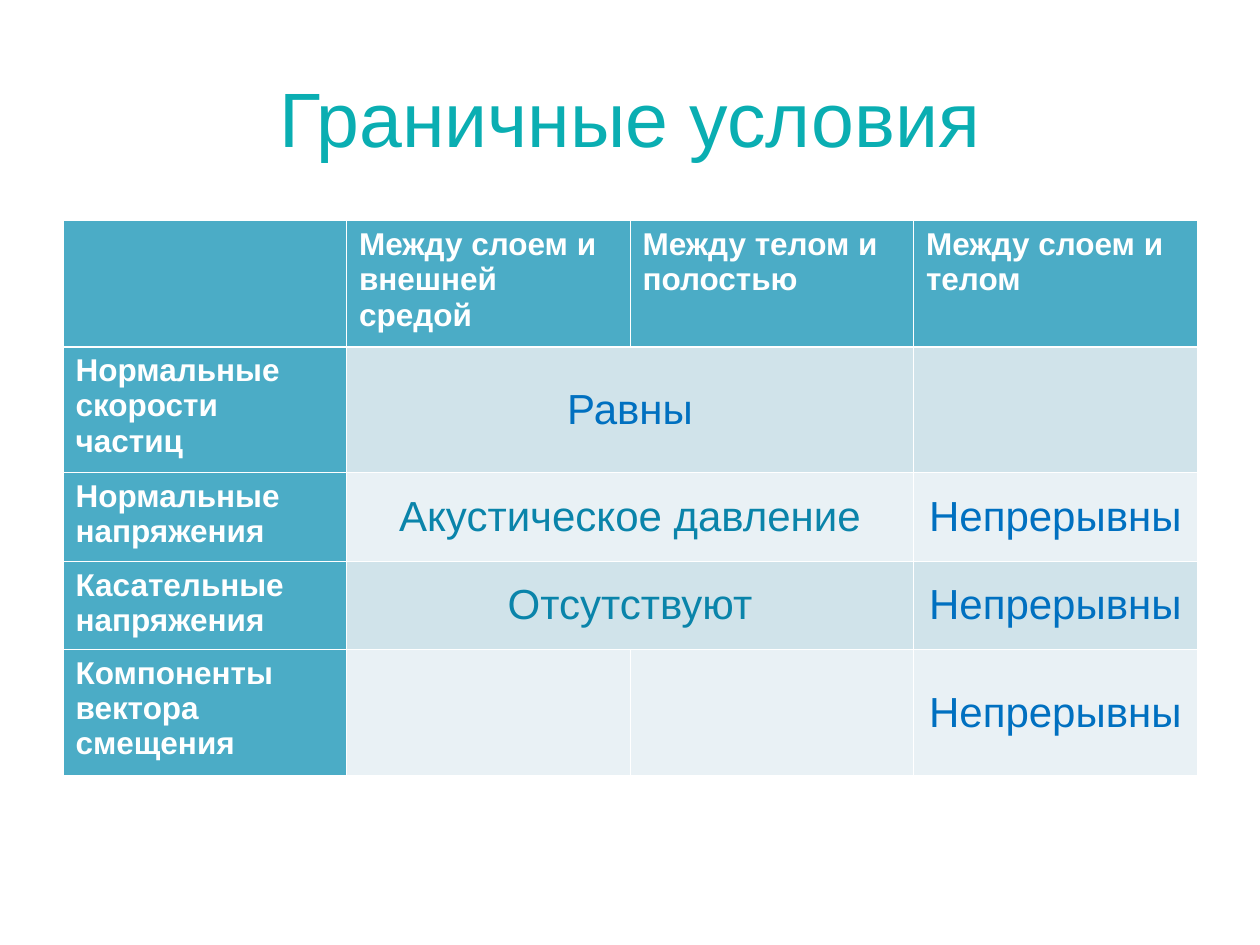
from lxml.etree import SubElement
from pptx import Presentation
from pptx.dml.color import RGBColor
from pptx.enum.text import MSO_ANCHOR, PP_ALIGN
from pptx.oxml.ns import qn
from pptx.util import Cm, Pt

WHITE, HEAD, AQUA, BLUE, TEAL = "FFFFFF", "4BACC6", "0AAEB2", "0070C0", "0A84AA"
BANDS = ("D0E3EA", "E9F1F5")
THIN, THICK = 0.45, 1.47
COL = 5.715
TALL, LOW = 2.54, 1.78
ROWS = (TALL, TALL, LOW, LOW, TALL)
LABEL = {"size": Pt(18), "bold": True, "name": "Arial"}
VALUE = {"size": Pt(24), "bold": False, "name": "Arial"}
TITLE = {"size": Pt(44), "bold": False, "name": "Arial"}
HEADS = ("", "Между слоем и внешней средой", "Между телом и полостью",
         "Между слоем и телом")
SIDES = ("Нормальные скорости частиц", "Нормальные напряжения",
         "Касательные напряжения", "Компоненты вектора смещения")
# Row, column, text, colour, columns spanned
VALUES = (
    (1, 1, "Равны", BLUE, 2),
    (2, 1, "Акустическое давление", TEAL, 2),
    (3, 1, "Отсутствуют", TEAL, 2),
    (2, 3, "Непрерывны", BLUE, 1),
    (3, 3, "Непрерывны", BLUE, 1),
    (4, 3, "Непрерывны", BLUE, 1),
)


def color(code):
    return RGBColor.from_string(code)


def write(frame, text, style, code, center=False):
    para = frame.paragraphs[0]
    para.alignment = PP_ALIGN.CENTER if center else PP_ALIGN.LEFT
    run = para.add_run()
    run.text = text
    for key, val in style.items():
        setattr(run.font, key, val)
    run.font.color.rgb = color(code)
    frame.word_wrap = True
    if center:
        frame.vertical_anchor = MSO_ANCHOR.MIDDLE


def border(cell, row):
    props = cell._tc.get_or_add_tcPr()
    widths = {"L": THIN, "R": THIN,
              "T": THICK if row == 1 else THIN,
              "B": THICK if row == 0 else THIN}
    for side, width in widths.items():
        line = SubElement(props, qn(f"a:ln{side}"), w=str(Pt(width)))
        fill = SubElement(line, qn("a:solidFill"))
        SubElement(fill, qn("a:srgbClr"), val=WHITE)


def add_title(slide, text):
    box = slide.shapes.add_textbox(Cm(1.27), Cm(0.76), Cm(22.86), Cm(3.18))
    write(box.text_frame, text, TITLE, AQUA, center=True)


def add_grid(slide):
    shape = slide.shapes.add_table(len(ROWS), len(HEADS), Cm(1.27), Cm(4.45),
                                   Cm(COL * len(HEADS)), Cm(sum(ROWS)))
    table = shape.table
    for col in table.columns:
        col.width = Cm(COL)
    # Fills and borders
    for r, height in enumerate(ROWS):
        table.rows[r].height = Cm(height)
        for c in range(len(HEADS)):
            cell = table.cell(r, c)
            border(cell, r)
            cell.fill.solid()
            code = HEAD if r == 0 or c == 0 else BANDS[(r - 1) % 2]
            cell.fill.fore_color.rgb = color(code)
    return table


def fill_grid(table):
    # Headings
    for c, text in enumerate(HEADS):
        if text:
            write(table.cell(0, c).text_frame, text, LABEL, WHITE)
    for r, text in enumerate(SIDES, 1):
        write(table.cell(r, 0).text_frame, text, LABEL, WHITE)
    # Conditions
    for r, c, text, code, span in VALUES:
        cell = table.cell(r, c)
        if span > 1:
            cell.merge(table.cell(r, c + span - 1))
        write(cell.text_frame, text, VALUE, code, center=True)
        cell.vertical_anchor = MSO_ANCHOR.MIDDLE


def main():
    deck = Presentation()
    deck.slide_width, deck.slide_height = Cm(25.4), Cm(19.05)
    slide = deck.slides.add_slide(deck.slide_layouts[6])
    add_title(slide, "Граничные условия")
    fill_grid(add_grid(slide))
    deck.save("out.pptx")


if __name__ == "__main__":
    main()
